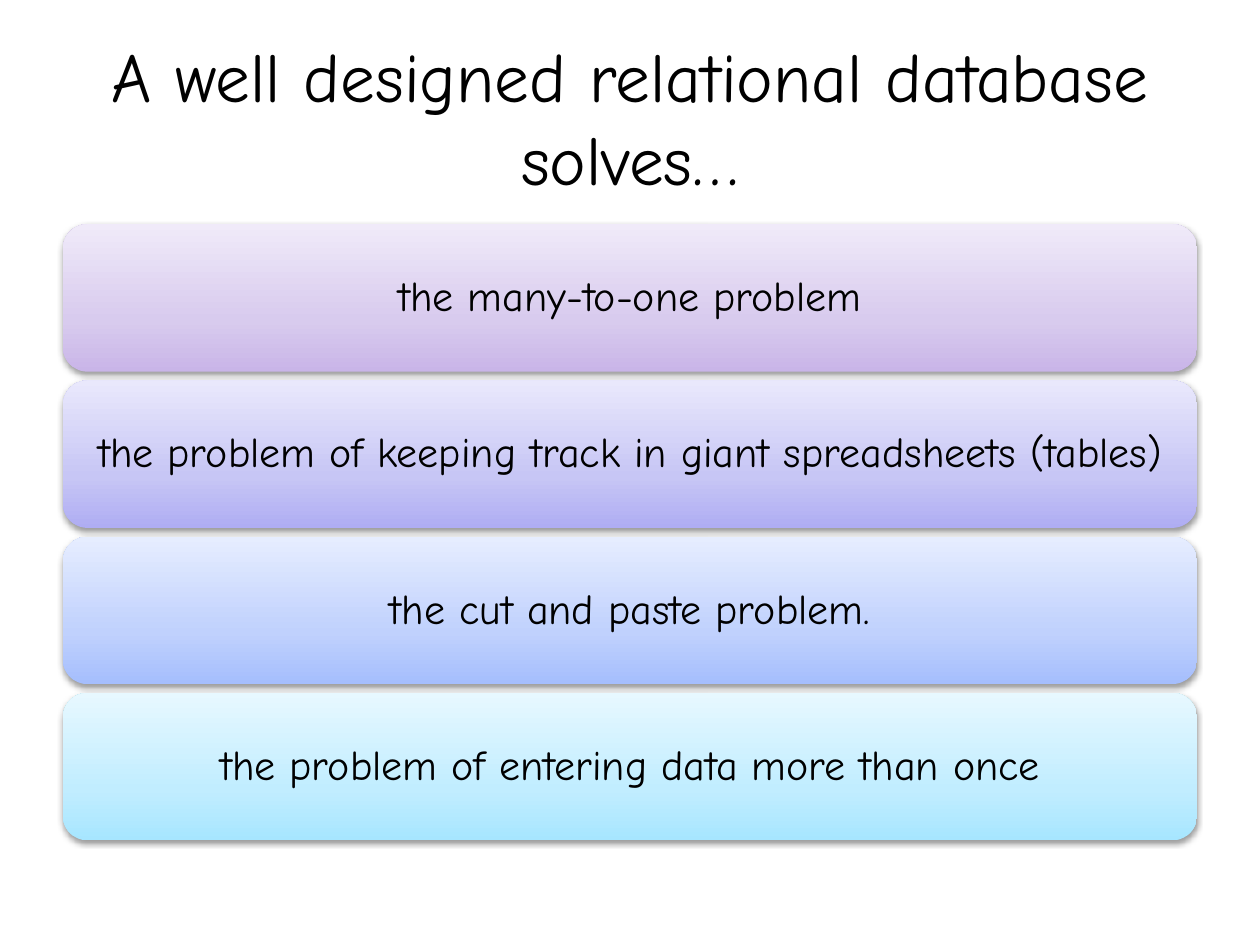
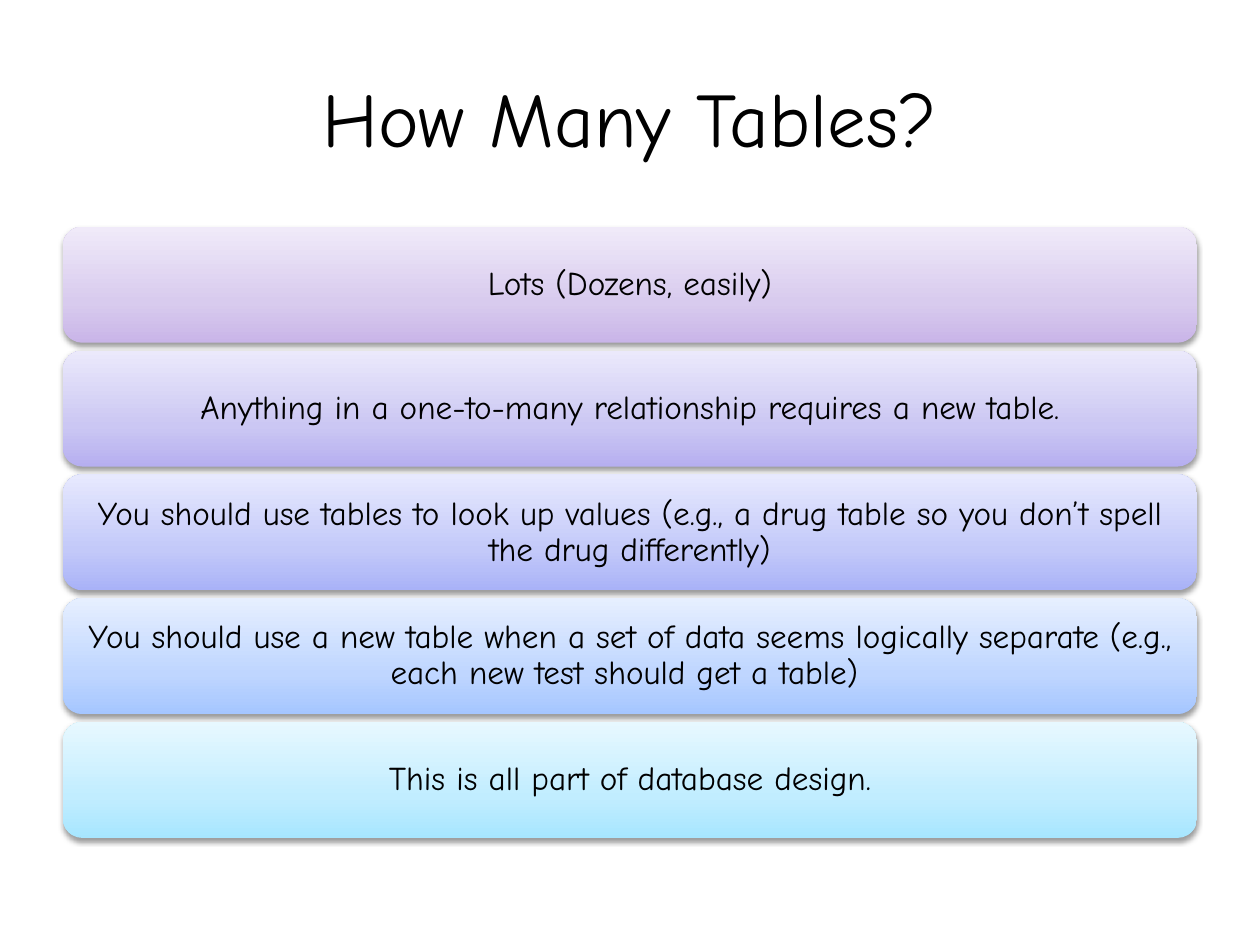
"""Build two slides of stacked gradient bands about relational database design."""
from dataclasses import dataclass

from lxml import etree
from pptx import Presentation
from pptx import util as u
from pptx.dml.color import RGBColor
from pptx.enum import shapes, text
from pptx.oxml import ns

COLUMNS, ROWS = 20, 15
CELL = u.Inches(0.5)
LEFT, SPAN = 1, 18
TITLE_ROW, TITLE_ROWS = 0.6, 2.5
FONT = "Comic Neue"
BLACK = RGBColor(0x00, 0x00, 0x00)
STOPS = (0, 35, 100)


@dataclass(frozen=True)
class Ramp:
    """Colours of a band from its bottom edge to its top edge."""
    dark: RGBColor
    middle: RGBColor
    light: RGBColor


PURPLE = Ramp(RGBColor(0xC9, 0xB5, 0xE8), RGBColor(0xD8, 0xCB, 0xEE), RGBColor(0xF0, 0xEA, 0xF9))
VIOLET = Ramp(RGBColor(0xB6, 0xAF, 0xF0), RGBColor(0xCB, 0xC7, 0xF3), RGBColor(0xEB, 0xE9, 0xFB))
INDIGO = Ramp(RGBColor(0xAF, 0xAD, 0xF3), RGBColor(0xC7, 0xC6, 0xF5), RGBColor(0xE9, 0xE8, 0xFC))
PERIWINKLE = Ramp(RGBColor(0xA9, 0xB2, 0xF8), RGBColor(0xC3, 0xC9, 0xF9), RGBColor(0xE7, 0xE9, 0xFE))
BLUE = Ramp(RGBColor(0xA5, 0xBE, 0xFD), RGBColor(0xC0, 0xD1, 0xFD), RGBColor(0xE6, 0xED, 0xFF))
SKY = Ramp(RGBColor(0xA5, 0xC6, 0xFF), RGBColor(0xBF, 0xD6, 0xFF), RGBColor(0xE6, 0xEF, 0xFF))
CYAN = Ramp(RGBColor(0xA7, 0xE6, 0xFF), RGBColor(0xC1, 0xED, 0xFF), RGBColor(0xE7, 0xF8, 0xFF))


@dataclass(frozen=True)
class Band:
    """One statement and its colours."""
    words: str
    ramp: Ramp


@dataclass(frozen=True)
class BandSlide:
    """A title over evenly spaced bands, placed in grid rows."""
    title: str
    title_size: float
    first_row: float
    last_row: float
    band_rows: float
    band_size: float
    inset: float
    bands: tuple[Band, ...]


SLIDES = (
    BandSlide("A well designed relational database solves…", 39.6, 3.56, 11, 2.34, 24, 0.1, (
        Band("the many-to-one problem", PURPLE),
        Band("the problem of keeping track in giant spreadsheets (tables)", INDIGO),
        Band("the cut and paste problem.", BLUE),
        Band("the problem of entering data more than once", CYAN),
    )),
    BandSlide("How Many Tables?", 44, 3.6, 11.46, 1.84, 19, 0.08, (
        Band("Lots (Dozens, easily)", PURPLE),
        Band("Anything in a one-to-many relationship requires a new table.", VIOLET),
        Band("You should use tables to look up values (e.g., a drug table so you "
             "don’t spell the drug differently)", PERIWINKLE),
        Band("You should use a new table when a set of data seems logically separate "
             "(e.g., each new test should get a table) ", SKY),
        Band("This is all part of database design.", CYAN),
    )),
)


def grid_place(row: float, rows: float) -> tuple[int, int, int, int]:
    """Return left, top, width and height of a full-width strip of the grid."""
    return LEFT * CELL, round(row * CELL), SPAN * CELL, round(rows * CELL)


def write(box, words: str, *, size: float, inset: float = 0.1, spacing: float = 1.0) -> None:
    """Fill a box with one centred paragraph."""
    frame = box.text_frame
    frame.word_wrap = True
    frame.vertical_anchor = text.MSO_ANCHOR.MIDDLE
    frame.margin_left = frame.margin_right = u.Inches(inset)
    frame.margin_top = frame.margin_bottom = u.Inches(inset)
    para = frame.paragraphs[0]
    para.alignment = text.PP_ALIGN.CENTER
    para.line_spacing = spacing
    span = para.add_run()
    span.text = words
    span.font.name = FONT
    span.font.size = u.Pt(size)
    span.font.color.rgb = BLACK


def add_child(parent, tag: str, **attributes: object):
    """Append a drawing element with the given attributes."""
    values = {name: str(value) for name, value in attributes.items()}
    return etree.SubElement(parent, ns.qn(f"a:{tag}"), values)


def fill_ramp(box, ramp: Ramp) -> None:
    """Give a box a gradient that runs upwards from dark to light."""
    properties = box._element.spPr
    gradient = add_child(properties, "gradFill", rotWithShape=1)
    stops = add_child(gradient, "gsLst")
    for share, colour in zip(STOPS, (ramp.dark, ramp.middle, ramp.light)):
        add_child(add_child(stops, "gs", pos=share * 1000), "srgbClr", val=colour)
    add_child(gradient, "lin", ang=270 * 60000, scaled=1)
    properties.find(ns.qn("a:prstGeom")).addnext(gradient)


def add_shadow(box) -> None:
    """Give a box a soft shadow below it."""
    box.shadow.inherit = False
    effects = box._element.spPr.find(ns.qn("a:effectLst"))
    shadow = add_child(effects, "outerShdw", blurRad=u.Pt(3.1), dist=u.Pt(1.6),
                       dir=90 * 60000, rotWithShape=0)
    add_child(add_child(shadow, "srgbClr", val=BLACK), "alpha", val=38000)


def draw_band(page, band: Band, row: float, layout: BandSlide) -> None:
    """Draw one rounded band with its statement."""
    box = page.shapes.add_shape(shapes.MSO_SHAPE.ROUNDED_RECTANGLE,
                                *grid_place(row, layout.band_rows))
    box.line.fill.background()
    fill_ramp(box, band.ramp)
    add_shadow(box)
    write(box, band.words, size=layout.band_size, inset=layout.inset, spacing=0.9)


def draw_slide(deck, layout: BandSlide) -> None:
    """Add one slide with its title and bands."""
    page = deck.slides.add_slide(deck.slide_layouts[6])
    title = page.shapes.add_textbox(*grid_place(TITLE_ROW, TITLE_ROWS))
    write(title, layout.title, size=layout.title_size)
    step = (layout.last_row - layout.first_row) / (len(layout.bands) - 1)
    for index, band in enumerate(layout.bands):
        draw_band(page, band, layout.first_row + index * step, layout)


def main() -> None:
    """Build and save the deck."""
    deck = Presentation()
    deck.slide_width, deck.slide_height = COLUMNS * CELL, ROWS * CELL
    for layout in SLIDES:
        draw_slide(deck, layout)
    deck.save("out.pptx")


if __name__ == "__main__":
    main()
